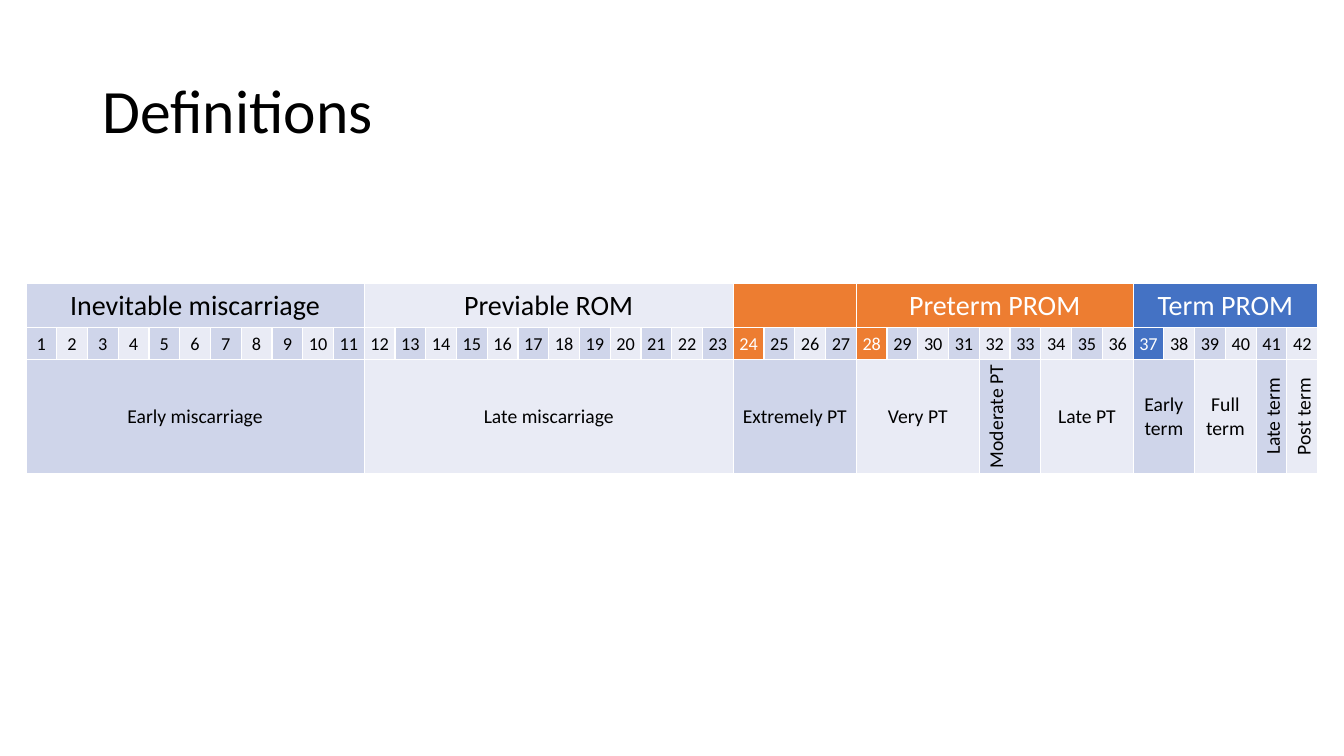
"""Build a slide that defines pregnancy terms by gestational week."""
from dataclasses import dataclass

import lxml.etree
import pptx
import pptx.dml.color
import pptx.enum.text
import pptx.oxml.ns
import pptx.slide
import pptx.table
import pptx.util


@dataclass(frozen=True)
class Theme:
    font: str = "Calibri"
    black: str = "000000"
    white: str = "FFFFFF"
    band: str = "CFD5EA"
    pale: str = "E9EBF5"
    preterm: str = "ED7D31"
    term: str = "4472C4"
    title_size: float = 44
    heading_size: float = 20
    week_size: float = 13
    stage_size: float = 14


THEME = Theme()
WEEK_COUNT = 42
WEEK_WIDTH = 21.98
ROW_HEIGHTS = (31.6, 22.8, 81)
CELL_MARGIN = 3.6
BORDER_WIDTH = 1


@dataclass(frozen=True)
class Period:
    text: str
    weeks: int
    fill: str
    color: str = THEME.black
    vertical: bool = False


HEADINGS = [
    Period("Inevitable miscarriage", 11, THEME.band),
    Period("Previable ROM", 12, THEME.pale),
    Period("", 4, THEME.preterm, THEME.white),
    Period("Preterm PROM", 9, THEME.preterm, THEME.white),
    Period("Term PROM", 6, THEME.term, THEME.white),
]
STAGES = [
    Period("Early miscarriage", 11, THEME.band),
    Period("Late miscarriage", 12, THEME.pale),
    Period("Extremely PT", 4, THEME.band),
    Period("Very PT", 4, THEME.pale),
    Period("Moderate PT", 2, THEME.band, vertical=True),
    Period("Late PT", 3, THEME.pale),
    Period("Early term", 2, THEME.band),
    Period("Full term", 2, THEME.pale),
    Period("Late term", 1, THEME.band, vertical=True),
    Period("Post term", 1, THEME.pale, vertical=True),
]
MILESTONES = {24: THEME.preterm, 28: THEME.preterm, 37: THEME.term}


def week_period(week: int) -> Period:
    """Describe the cell of one week."""
    if week in MILESTONES:
        return Period(str(week), 1, MILESTONES[week], THEME.white)
    return Period(str(week), 1, THEME.band if week % 2 else THEME.pale)


def set_font(font: pptx.text.text.Font, size: float, color: str) -> None:
    """Apply the theme typeface with a size and a colour."""
    font.name = THEME.font
    font.size = pptx.util.Pt(size)
    font.color.rgb = pptx.dml.color.RGBColor.from_string(color)


def paint_cell(cell: pptx.table._Cell, fill: str) -> None:
    """Give a cell white borders and a solid fill."""
    properties = cell._tc.get_or_add_tcPr()
    for side in ("lnL", "lnR", "lnT", "lnB"):
        line = lxml.etree.SubElement(properties, pptx.oxml.ns.qn(f"a:{side}"))
        line.set("w", str(pptx.util.Pt(BORDER_WIDTH)))
        solid = lxml.etree.SubElement(line, pptx.oxml.ns.qn("a:solidFill"))
        color = lxml.etree.SubElement(solid, pptx.oxml.ns.qn("a:srgbClr"))
        color.set("val", THEME.white)
    cell.fill.solid()
    cell.fill.fore_color.rgb = pptx.dml.color.RGBColor.from_string(fill)


def write_cell(cell: pptx.table._Cell, period: Period, size: float) -> None:
    """Write the centred label of a period."""
    margin = pptx.util.Pt(CELL_MARGIN)
    cell.margin_left = cell.margin_right = margin
    cell.margin_top = cell.margin_bottom = margin
    cell.vertical_anchor = pptx.enum.text.MSO_ANCHOR.MIDDLE
    if period.vertical:
        cell._tc.get_or_add_tcPr().set("vert", "vert270")
    cell.text = period.text
    paragraph = cell.text_frame.paragraphs[0]
    paragraph.alignment = pptx.enum.text.PP_ALIGN.CENTER
    set_font(paragraph.font, size, period.color)


def fill_row(table: pptx.table.Table, row: int, periods: list[Period], size: float) -> None:
    """Lay periods side by side along a table row."""
    start = 0
    for period in periods:
        end = start + period.weeks
        for column in range(start, end):
            paint_cell(table.cell(row, column), period.fill)
        cell = table.cell(row, start)
        if period.weeks > 1:
            cell.merge(table.cell(row, end - 1))
        write_cell(cell, period, size)
        start = end


def add_title(slide: pptx.slide.Slide, text: str) -> None:
    """Add the slide title."""
    box = slide.shapes.add_textbox(
        pptx.util.Pt(66), pptx.util.Pt(28.8), pptx.util.Pt(828), pptx.util.Pt(104.4)
    )
    frame = box.text_frame
    frame.word_wrap = True
    frame.vertical_anchor = pptx.enum.text.MSO_ANCHOR.MIDDLE
    paragraph = frame.paragraphs[0]
    paragraph.text = text
    paragraph.line_spacing = 0.9
    set_font(paragraph.font, THEME.title_size, THEME.black)


def add_timeline(slide: pptx.slide.Slide) -> None:
    """Add the table of weeks with its headings and stages."""
    table = slide.shapes.add_table(
        len(ROW_HEIGHTS), WEEK_COUNT, pptx.util.Pt(18.5), pptx.util.Pt(202.6),
        pptx.util.Pt(WEEK_WIDTH * WEEK_COUNT), pptx.util.Pt(sum(ROW_HEIGHTS)),
    ).table
    table.first_row = False
    table.horz_banding = False
    for column in table.columns:
        column.width = pptx.util.Pt(WEEK_WIDTH)
    for row, height in zip(table.rows, ROW_HEIGHTS):
        row.height = pptx.util.Pt(height)
    weeks = [week_period(week) for week in range(1, WEEK_COUNT + 1)]
    fill_row(table, 0, HEADINGS, THEME.heading_size)
    fill_row(table, 1, weeks, THEME.week_size)
    fill_row(table, 2, STAGES, THEME.stage_size)


def main() -> None:
    """Create and save the presentation."""
    presentation = pptx.Presentation()
    presentation.slide_width = pptx.util.Pt(960)
    presentation.slide_height = pptx.util.Pt(540)
    slide = presentation.slides.add_slide(presentation.slide_layouts[6])
    add_title(slide, "Definitions")
    add_timeline(slide)
    presentation.save("out.pptx")


if __name__ == "__main__":
    main()
